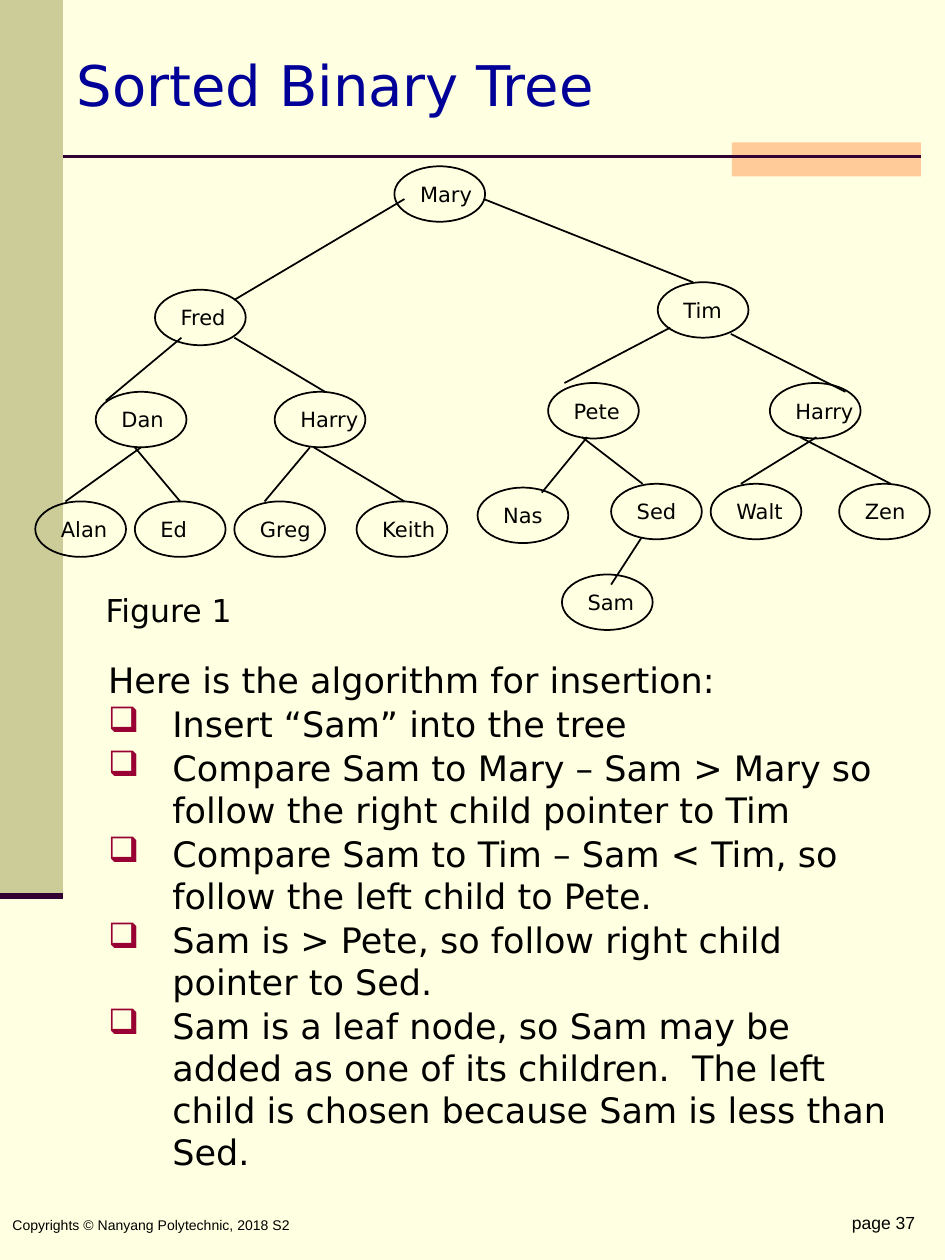
from typing import NamedTuple

from lxml.etree import SubElement
from pptx import Presentation
from pptx.dml.color import RGBColor
from pptx.enum.shapes import MSO_CONNECTOR as Connector, MSO_SHAPE as Shape
from pptx.enum.text import MSO_ANCHOR as Anchor, PP_ALIGN as Align
from pptx.oxml.ns import qn
from pptx.util import Inches, Pt

COLUMNS, ROWS = 75, 100
SLIDE_WIDTH, SLIDE_HEIGHT = Inches(7.5), Inches(10)
BODY_FONT, FOOTER_FONT = "DejaVu Sans", "Arial"
INK, PLUM = "000000", "330033"
NODE_WIDTH, NODE_HEIGHT = 7.2, 4.4

LEVELS = [
    (0, [("Mary", 28.5)]),
    (9.8, [("Fred", 9.5)]),
    (9.2, [("Tim", 49.4)]),
    (17.9, [("Dan", 4.8), ("Harry", 19)]),
    (17.2, [("Pete", 40.7), ("Harry", 58.3)]),
    (26.6, [("Alan", 0), ("Ed", 7.9), ("Greg", 15.8), ("Keith", 25.5)]),
    (25.5, [("Nas", 35.1)]),
    (25.2, [("Sed", 45.7), ("Walt", 53.6), ("Zen", 63.8)]),
    (32.4, [("Sam", 41.8)]),
]
BRANCHES = [
    ((29.3, 2.6), (15.8, 10.6)),
    ((35.6, 2.6), (52.2, 9.2)),
    ((11.6, 13.6), (5.6, 18.6)),
    ((15.8, 13.6), (23, 17.9)),
    ((50.4, 12.8), (42, 17.2)),
    ((55.2, 13.3), (64.3, 17.9)),
    ((8.4, 22.3), (2.4, 26.6)),
    ((7.9, 22.3), (11.5, 26.6)),
    ((21.8, 22.3), (18.2, 26.6)),
    ((22.1, 22.3), (29.3, 26.6)),
    ((43.8, 21.5), (40.2, 25.9)),
    ((43.4, 21.5), (48.2, 25.2)),
    ((62, 21.5), (56, 25.2)),
    ((60.7, 21.5), (67.9, 25.2)),
    ((48.1, 29.5), (45.7, 33.2)),
]
STEPS = [
    "Insert “Sam” into the tree",
    "Compare Sam to Mary – Sam > Mary so follow the right child pointer to Tim",
    "Compare Sam to Tim – Sam < Tim, so follow the left child to Pete.",
    "Sam is > Pete, so follow right child pointer to Sed.",
    "Sam is a leaf node, so Sam may be added as one of its children.  "
    "The left child is chosen because Sam is less than Sed.",
]


class Box(NamedTuple):
    left: float
    top: float
    width: float
    height: float

    def within(self, left, top, width, height):
        return Box(self.left + left, self.top + top, width, height)

    def point(self, column, row):
        return self.left + column, self.top + row


def color(value):
    return RGBColor.from_string(value)


def across(columns):
    return round(SLIDE_WIDTH * columns / COLUMNS)


def down(rows):
    return round(SLIDE_HEIGHT * rows / ROWS)


def emu(box):
    return across(box.left), down(box.top), across(box.width), down(box.height)


def add_panel(slide, box, fill):
    panel = slide.shapes.add_shape(Shape.RECTANGLE, *emu(box))
    panel.shadow.inherit = False
    panel.fill.solid()
    panel.fill.fore_color.rgb = color(fill)
    panel.line.fill.background()


def add_line(slide, start, end, ink, width):
    line = slide.shapes.add_connector(
        Connector.STRAIGHT,
        across(start[0]), down(start[1]), across(end[0]), down(end[1]))
    line.line.color.rgb = color(ink)
    line.line.width = Pt(width)
    SubElement(line._element.spPr, qn("a:effectLst"))


def add_run(paragraph, text, size, font=BODY_FONT, ink=INK):
    run = paragraph.add_run()
    run.text = text
    run.font.size = Pt(size)
    run.font.name = font
    run.font.color.rgb = color(ink)


def add_text(slide, box, text, size, font=BODY_FONT, ink=INK,
             align=Align.LEFT, anchor=Anchor.TOP):
    frame = slide.shapes.add_textbox(*emu(box)).text_frame
    frame.word_wrap = True
    frame.vertical_anchor = anchor
    frame.paragraphs[0].alignment = align
    add_run(frame.paragraphs[0], text, size, font, ink)
    return frame


def add_bullet(paragraph, indent):
    properties = paragraph._p.get_or_add_pPr()
    properties.set("marL", str(indent))
    properties.set("indent", str(-indent))
    bullet_color = SubElement(properties, qn("a:buClr"))
    SubElement(bullet_color, qn("a:srgbClr"), val="990033")
    SubElement(properties, qn("a:buChar"), char="❑")


def draw_frame(slide, box):
    sidebar = box.within(0, 0, 5, 71.1)
    add_panel(slide, sidebar, "CCCC99")
    add_panel(slide, box.within(58.1, 11.3, 15, 2.7), "FFCC99")
    add_line(slide, box.point(5, 12.4), box.point(73.1, 12.4), PLUM, 1.5)
    add_line(slide, sidebar.point(0, sidebar.height),
             sidebar.point(sidebar.width, sidebar.height), PLUM, 3.5)


def draw_footer(slide, box):
    add_text(slide, box.within(0, 0, 48.8, box.height),
             "Copyrights © Nanyang Polytechnic, 2018 S2", 8, FOOTER_FONT,
             anchor=Anchor.MIDDLE)
    add_text(slide, box.within(52.5, 1.3, 21.1, 3), "page 37", 10,
             FOOTER_FONT, align=Align.RIGHT)


def draw_node(slide, box, name):
    node = slide.shapes.add_shape(Shape.OVAL, *emu(box))
    node.shadow.inherit = False
    node.fill.background()
    node.line.color.rgb = color(INK)
    node.line.width = Pt(1)
    frame = node.text_frame
    frame.word_wrap = False
    frame.vertical_anchor = Anchor.MIDDLE
    frame.paragraphs[0].alignment = Align.LEFT
    add_run(frame.paragraphs[0], name, 12)


def draw_tree(slide, box):
    for row, nodes in LEVELS:
        for name, column in nodes:
            draw_node(slide, box.within(column, row, NODE_WIDTH, NODE_HEIGHT), name)
    for parent, child in BRANCHES:
        add_line(slide, box.point(*parent), box.point(*child), INK, 1)
    add_text(slide, box.within(4.6, 33.2, 14, 4), "Figure 1", 18)


def draw_algorithm(slide, box):
    frame = add_text(slide, box, "Here is the algorithm for insertion:", 20)
    for step in STEPS:
        paragraph = frame.add_paragraph()
        paragraph.space_before = Pt(1.1)
        add_bullet(paragraph, across(5.1))
        add_run(paragraph, step, 20)


def main():
    deck = Presentation()
    deck.slide_width, deck.slide_height = SLIDE_WIDTH, SLIDE_HEIGHT
    slide = deck.slides.add_slide(deck.slide_layouts[6])
    slide.background.fill.solid()
    slide.background.fill.fore_color.rgb = color("FFFFE1")
    draw_frame(slide, Box(0, 0, COLUMNS, ROWS))
    draw_footer(slide, Box(0, 94.4, COLUMNS, 5.6))
    draw_tree(slide, Box(2.8, 13.2, 71, 36.8))
    draw_algorithm(slide, Box(7.6, 51.8, 63.8, 42.2))
    add_text(slide, Box(5.1, 3.5, 66.1, 8.6), "Sorted Binary Tree", 32, ink="000099")
    deck.save("out.pptx")


if __name__ == "__main__":
    main()
